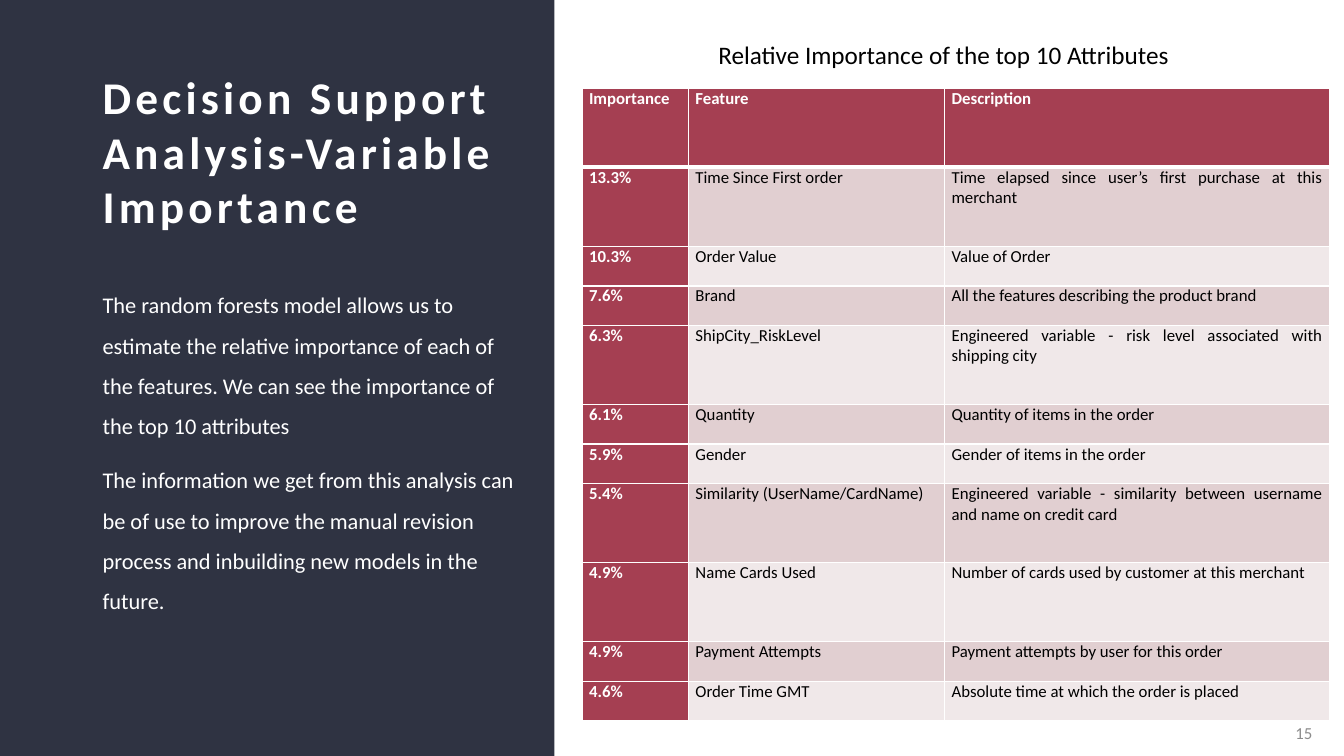
import pptx
import pptx.util
import pptx.dml.color
import pptx.enum.shapes
import pptx.enum.text
import pptx.oxml
import pptx.oxml.ns
from dataclasses import dataclass

Pt = pptx.util.Pt
ALIGN = pptx.enum.text.PP_ALIGN
ANCHOR = pptx.enum.text.MSO_ANCHOR


@dataclass(frozen=True)
class Theme:
    font: str = "Calibri"
    panel: str = "2F3342"
    accent: str = "A53F52"
    bands: tuple = ("E1CFD1", "F0E8E9")
    light: str = "FFFFFF"
    dark: str = "000000"
    muted: str = "8C8C8C"
    title_size: float = 32.4
    heading_size: float = 18
    body_size: float = 16
    small_size: float = 12


class SlideBuilder:
    def __init__(self, slide, theme):
        self.slide = slide
        self.theme = theme

    def style(self, para, size, color, bold=False, tracking=0):
        """Format every run; tracking is letter spacing in points."""
        for span in para.runs:
            span.font.name = self.theme.font
            span.font.size = Pt(size)
            span.font.bold = bold
            span.font.color.rgb = pptx.dml.color.RGBColor.from_string(color)
            if tracking:
                span.font._element.set("spc", str(tracking * 100))

    def fill(self, target, color):
        target.fill.solid()
        target.fill.fore_color.rgb = pptx.dml.color.RGBColor.from_string(color)

    def panel(self, left, top, width, height):
        shape = self.slide.shapes.add_shape(
            pptx.enum.shapes.MSO_SHAPE.RECTANGLE,
            Pt(left), Pt(top), Pt(width), Pt(height))
        shape.shadow.inherit = False
        self.fill(shape, self.theme.panel)
        shape.line.fill.background()

    def text(self, left, top, width, height, content, size, color, bold=False,
             tracking=0, align=ALIGN.LEFT, anchor=ANCHOR.TOP,
             line_spacing=1.0, gap=0):
        """Add a text box; gap is the space between its paragraphs."""
        box = self.slide.shapes.add_textbox(Pt(left), Pt(top), Pt(width), Pt(height))
        frame = box.text_frame
        frame.word_wrap = True
        frame.vertical_anchor = anchor
        frame.text = content
        for index, para in enumerate(frame.paragraphs):
            para.alignment = align
            para.line_spacing = line_spacing
            para.space_before = Pt(gap if index else 0)
            self.style(para, size, color, bold, tracking)

    def cell_borders(self, cell, bottom):
        for side in "LRTB":
            width = Pt(bottom if side == "B" else 1)
            line = pptx.oxml.parse_xml(
                f'<a:ln{side} {pptx.oxml.ns.nsdecls("a")} w="{width}"><a:solidFill>'
                f'<a:srgbClr val="{self.theme.light}"/></a:solidFill></a:ln{side}>')
            cell._tc.get_or_add_tcPr().append(line)

    def cell(self, cell, content, color, background, bold, bottom):
        cell.margin_left = cell.margin_right = Pt(5)
        cell.margin_top = cell.margin_bottom = 0
        self.cell_borders(cell, bottom)
        self.fill(cell, background)
        cell.text_frame.text = content
        para = cell.text_frame.paragraphs[0]
        para.alignment = ALIGN.JUSTIFY
        self.style(para, self.theme.small_size, color, bold)

    def table(self, left, top, widths, heights, rows):
        """Add a table with an accent header row and an accent first column."""
        theme = self.theme
        table = self.slide.shapes.add_table(
            len(rows), len(widths), Pt(left), Pt(top),
            Pt(sum(widths)), Pt(sum(heights))).table
        for column, width in zip(table.columns, widths):
            column.width = Pt(width)
        for r, (row, height) in enumerate(zip(rows, heights)):
            table.rows[r].height = Pt(height)
            for c, content in enumerate(row):
                strong = r == 0 or c == 0
                self.cell(table.cell(r, c), content,
                          theme.light if strong else theme.dark,
                          theme.accent if strong else theme.bands[(r - 1) % 2],
                          strong, 3 if r == 0 else 1)


ROW_HEIGHT = 28.25
# Each row: height in row units, then importance, feature and description
ATTRIBUTES = [
    (2, "Importance", "Feature", "Description"),
    (2, "13.3%", "Time Since First order",
     "Time elapsed since user’s first purchase at this merchant"),
    (1, "10.3%", "Order Value", "Value of Order"),
    (1, "7.6%", "Brand", "All the features describing the product brand"),
    (2, "6.3%", "ShipCity_RiskLevel",
     "Engineered variable - risk level associated with shipping city"),
    (1, "6.1%", "Quantity", "Quantity of items in the order"),
    (1, "5.9%", "Gender", "Gender of items in the order"),
    (2, "5.4%", "Similarity (UserName/CardName)",
     "Engineered variable - similarity between username and name on credit card"),
    (2, "4.9%", "Name Cards Used", "Number of cards used by customer at this merchant"),
    (1, "4.9%", "Payment Attempts", "Payment attempts by user for this order"),
    (1, "4.6%", "Order Time GMT", "Absolute time at which the order is placed"),
]
SUMMARY = (
    "The random forests model allows us to estimate the relative importance of each "
    "of the features. We can see the importance of the top 10 attributes\n"
    "The information we get from this analysis can be of use to improve the manual "
    "revision process and inbuilding new models in the future."
)


def main():
    deck = pptx.Presentation()
    deck.slide_width, deck.slide_height = Pt(960), Pt(540)
    theme = Theme()
    page = SlideBuilder(deck.slides.add_slide(deck.slide_layouts[6]), theme)

    page.panel(0, 0, 396, 540)
    page.text(66.25, 49, 309.5, 118, "Decision Support Analysis-Variable Importance",
              theme.title_size, theme.light, bold=True, tracking=3, anchor=ANCHOR.MIDDLE)
    page.text(66.25, 195, 309.5, 267, SUMMARY, theme.body_size, theme.light,
              line_spacing=1.5, gap=10)
    page.text(506, 24.5, 353.5, 29, "Relative Importance of the top 10 Attributes",
              theme.heading_size, theme.dark)
    page.table(415.75, 63, (76, 183, 275),
               [units * ROW_HEIGHT for units, *_ in ATTRIBUTES],
               [cells for _, *cells in ATTRIBUTES])
    page.text(909.5, 509, 35, 29, "15", theme.small_size, theme.muted,
              align=ALIGN.RIGHT, anchor=ANCHOR.MIDDLE)

    deck.save("out.pptx")


if __name__ == "__main__":
    main()
